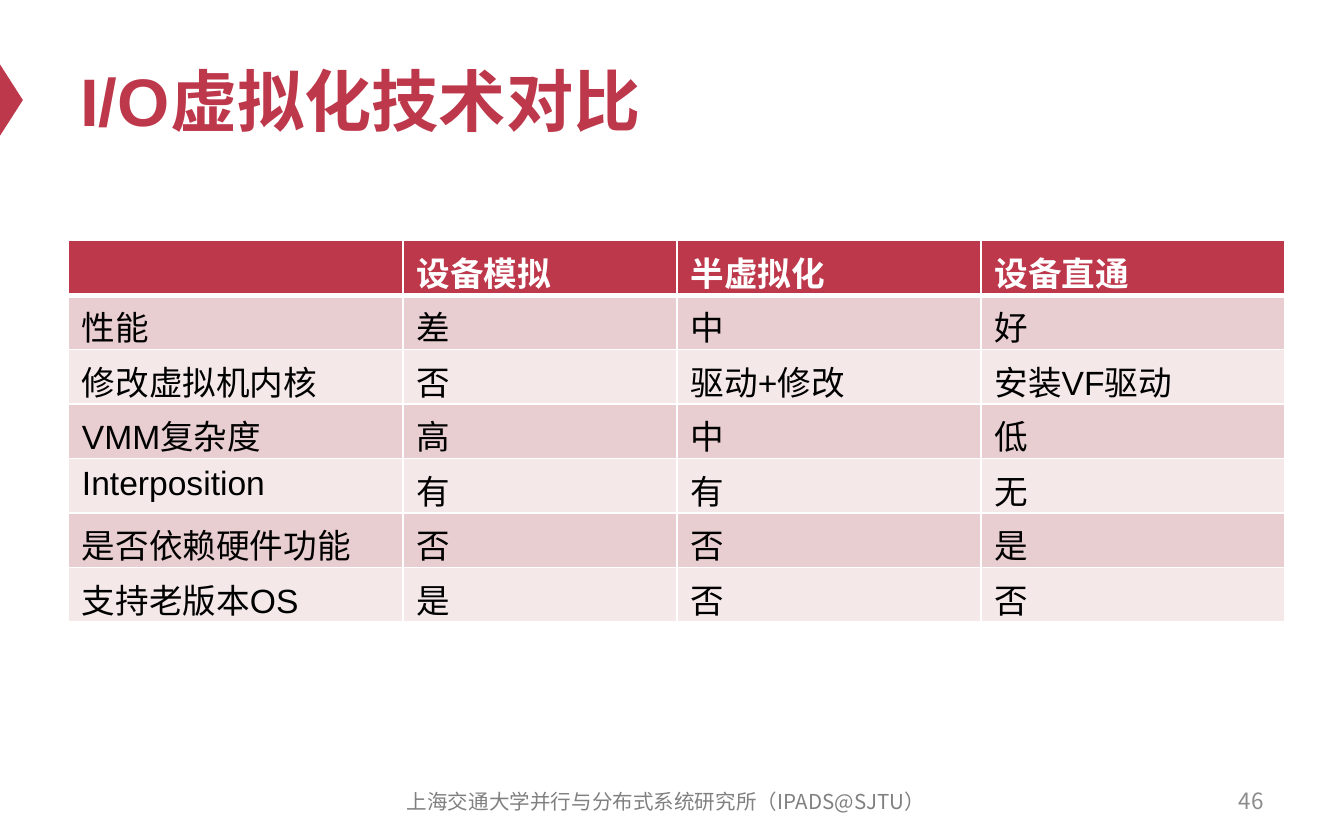
from lxml import etree
from pptx import Presentation
from pptx.dml.color import RGBColor
from pptx.enum import shapes, text
from pptx.oxml.ns import qn
from pptx.util import Inches, Pt

CELL = 0.25  # the page is a grid of 40 columns by 25 rows
COLORS = {"accent": "BE384B", "dark_band": "E8CED0", "light_band": "F4E8E9",
          "white": "FFFFFF", "black": "000000", "footer": "808080", "number": "8C8C8C"}
LATIN, CHINESE = "Arial", "Noto Sans CJK SC"
COLUMNS = [9.96, 8.16, 9.04, 9.04]
COMPARISON = [
    ["", "设备模拟", "半虚拟化", "设备直通"],
    ["性能", "差", "中", "好"],
    ["修改虚拟机内核", "否", "驱动+修改", "安装VF驱动"],
    ["VMM复杂度", "高", "中", "低"],
    ["Interposition", "有", "有", "无"],
    ["是否依赖硬件功能", "否", "否", "是"],
    ["支持老版本OS", "是", "否", "否"],
]


def grid(*lengths):
    return [Inches(length * CELL) for length in lengths]


def color(name):
    return RGBColor.from_string(COLORS[name])


def write(frame, words, ink, align=text.PP_ALIGN.LEFT, **formats):
    para = frame.paragraphs[0]
    para.alignment = align
    span = para.add_run()
    span.text = words
    for name, value in formats.items():
        setattr(span.font, name, value)
    span.font.color.rgb = color(ink)
    etree.SubElement(span.font._element, qn("a:ea"), typeface=CHINESE)


def add_label(page, box, words, ink, **formats):
    frame = page.shapes.add_textbox(*grid(*box)).text_frame
    frame.word_wrap = True
    frame.vertical_anchor = text.MSO_ANCHOR.MIDDLE
    write(frame, words, ink, **formats)


def add_header(page, box):
    # Marker pointing in from the left edge
    marker = page.shapes.add_shape(shapes.MSO_SHAPE.ISOSCELES_TRIANGLE,
                                   *grid(-0.72, box[1] + 1.64, 2.12, 0.68))
    marker.rotation = 90
    marker.shadow.inherit = False
    marker.fill.solid()
    marker.fill.fore_color.rgb = color("accent")
    marker.line.fill.background()
    # Title
    add_label(page, box, "I/O虚拟化技术对比", "accent", size=Pt(36), bold=True, name=LATIN)


def add_border(cell, side, points):
    line = etree.SubElement(cell._tc.get_or_add_tcPr(), qn(f"a:ln{side}"), w=str(Pt(points)))
    fill = etree.SubElement(line, qn("a:solidFill"))
    etree.SubElement(fill, qn("a:srgbClr"), val=COLORS["white"])


def add_comparison(page, box):
    table = page.shapes.add_table(len(COMPARISON), len(COLUMNS), *grid(*box)).table
    for column, width in zip(table.columns, COLUMNS):
        column.width = Inches(width * CELL)
    for r, row in enumerate(COMPARISON):
        heading = r == 0
        band = "accent" if heading else "dark_band" if r % 2 else "light_band"
        for c, words in enumerate(row):
            cell = table.cell(r, c)
            # Borders: a thicker rule under the heading row
            for side in "LRTB":
                thick = (heading and side == "B") or (r == 1 and side == "T")
                add_border(cell, side, 3 if thick else 1)
            cell.fill.solid()
            cell.fill.fore_color.rgb = color(band)
            if words:
                write(cell.text_frame, words, "white" if heading else "black",
                      size=Pt(18), bold=heading, name=LATIN)


def add_footer(page, box):
    left, top, width, height = box
    add_label(page, (left + 17.52, top, 9.32, height), "46", "number",
              align=text.PP_ALIGN.RIGHT, size=Pt(12), name=CHINESE)
    add_label(page, (left, top, 17.32, height), "上海交通大学并行与分布式系统研究所（IPADS@SJTU）",
              "footer", align=text.PP_ALIGN.CENTER, size=Pt(11), name=CHINESE)


def main():
    deck = Presentation()
    deck.slide_width, deck.slide_height = grid(40, 25)
    page = deck.slides.add_slide(deck.slide_layouts[6])
    add_header(page, (2, 1, 36, 3.92))
    add_comparison(page, (2.04, 7.16, sum(COLUMNS), 11.36))
    add_footer(page, (11.16, 23.18, 26.84, 1.32))
    deck.save("out.pptx")


if __name__ == "__main__":
    main()
